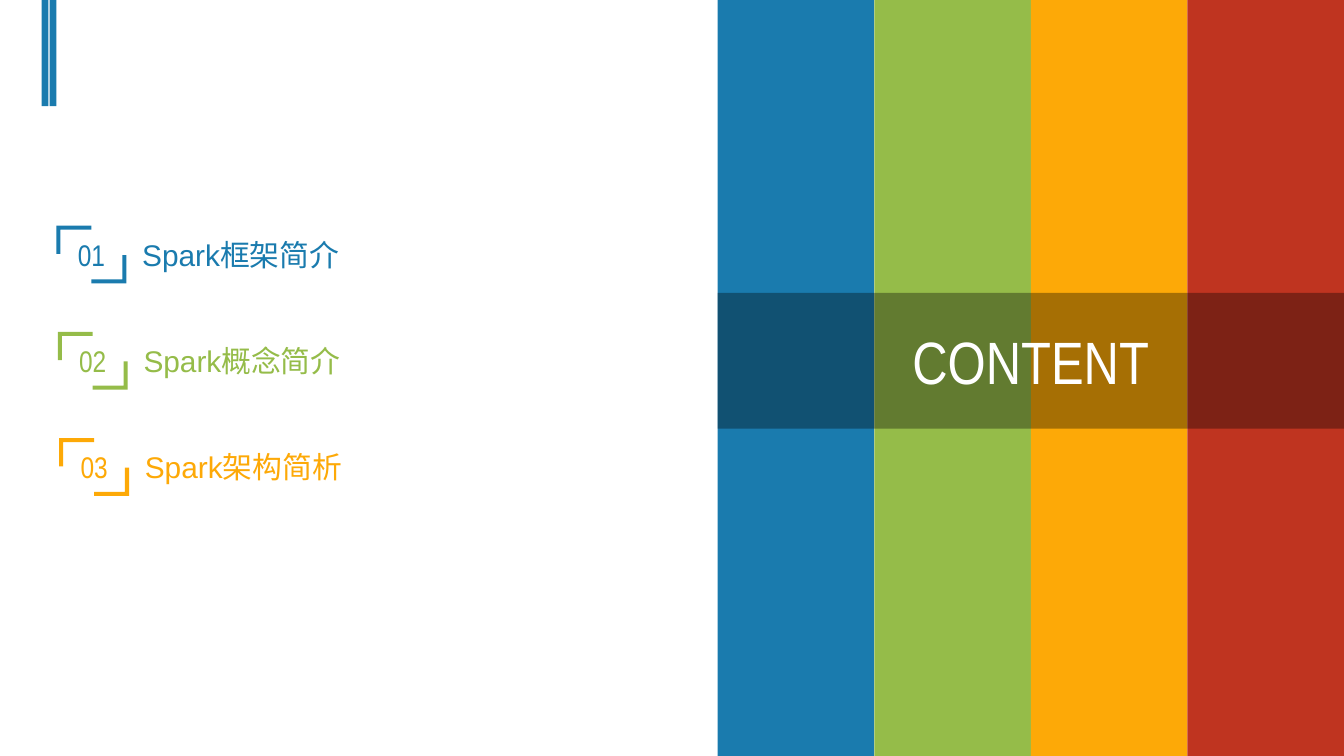
"""Build the contents slide: numbered topics beside a striped title panel."""
from pptx import Presentation
from pptx.dml.color import RGBColor
from pptx.enum.shapes import MSO_SHAPE
from pptx.enum.text import MSO_ANCHOR, MSO_AUTO_SIZE, PP_ALIGN
from pptx.oxml.ns import qn
from pptx.util import Inches, Pt
from lxml.etree import SubElement

BLUE, GREEN, GOLD, RED = "1A7BAE", "95BC49", "FDA907", "BF3420"
TITLE = "CONTENT"
TOPICS = [
    ("01", "Spark框架简介", BLUE),
    ("02", "Spark概念简介", GREEN),
    ("03", "Spark架构简析", GOLD),
]
STRIPES = [BLUE, GREEN, GOLD, RED]
WIDE = 10
HIGH = WIDE * 9 / 16
PANEL = 5.34
BAND = (2.18, 1.01)
TABS = (0.31, 0.37)
START, STEP = (0.42, 1.68), (0.01, 0.79)
MARK = (0.52, 0.43)
CORNER = [(0, 0), (0.26, 0), (0.26, 0.03), (0.03, 0.03), (0.03, 0.21), (0, 0.21)]
BODY = {"size": Pt(16), "name": "Arial", "bold": False}
NUMBER = {**BODY, "name": "Arial Narrow"}
HEAD = {**NUMBER, "size": Pt(32)}


def paint(part, tone):
    part.fill.solid()
    part.fill.fore_color.rgb = RGBColor.from_string(tone)


def plain(shape, tone):
    shape.shadow.inherit = False
    paint(shape, tone)
    shape.line.fill.background()


def write(shape, text, tone, style, center=False):
    frame = shape.text_frame
    frame.word_wrap = True
    frame.text = text
    para = frame.paragraphs[0]
    font = para.runs[0].font
    for key, value in style.items():
        setattr(font, key, value)
    font.color.rgb = RGBColor.from_string(tone)
    if center:
        para.alignment = PP_ALIGN.CENTER
        frame.vertical_anchor = MSO_ANCHOR.MIDDLE


def block(slide, tone, *box):
    shape = slide.shapes.add_shape(MSO_SHAPE.RECTANGLE, *map(Inches, box))
    plain(shape, tone)


def bracket(slide, left, top, tone):
    wide, high = MARK
    turned = [(wide - x, high - y) for x, y in CORNER]
    first, second = [
        [(Inches(left + x), Inches(top + y)) for x, y in points]
        for points in (CORNER, turned)
    ]
    pen = slide.shapes.build_freeform(*first[0])
    pen.add_line_segments(first[1:], close=True)
    pen.move_to(*second[0])
    pen.add_line_segments(second[1:], close=True)
    shape = pen.convert_to_shape()
    plain(shape, tone)
    return shape


def topic(slide, row, number, text, tone):
    left, top = [begin + row * step for begin, step in zip(START, STEP)]
    box = (left + 0.54, top + 0.03, 3.98, 0.37)
    label = slide.shapes.add_textbox(*map(Inches, box))
    write(label, text, tone, BODY)
    label.text_frame.auto_size = MSO_AUTO_SIZE.SHAPE_TO_FIT_TEXT
    write(bracket(slide, left, top, tone), number, tone, NUMBER, True)


def banner(slide):
    title = slide.shapes.title
    top, high = BAND
    box = {"left": PANEL, "top": top, "width": WIDE - PANEL, "height": high}
    for key, value in box.items():
        setattr(title, key, Inches(value))
    paint(title, "000000")
    black = title.fill._xPr.find(qn("a:solidFill"))[0]
    SubElement(black, qn("a:alpha")).set("val", "34000")
    write(title, TITLE, "FFFFFF", HEAD, True)
    title.text_frame.auto_size = MSO_AUTO_SIZE.NONE
    slide.shapes._spTree.append(title._element)


def main():
    deck = Presentation()
    deck.slide_width, deck.slide_height = Inches(WIDE), Inches(HIGH)
    slide = deck.slides.add_slide(deck.slide_layouts[5])
    for left in TABS:
        block(slide, BLUE, left, 0, 0.05, 0.79)
    for row, item in enumerate(TOPICS):
        topic(slide, row, *item)
    width = (WIDE - PANEL) / len(STRIPES)
    for col, tone in enumerate(STRIPES):
        block(slide, tone, PANEL + col * width, 0, width, HIGH)
    banner(slide)
    deck.save("out.pptx")


if __name__ == "__main__":
    main()
